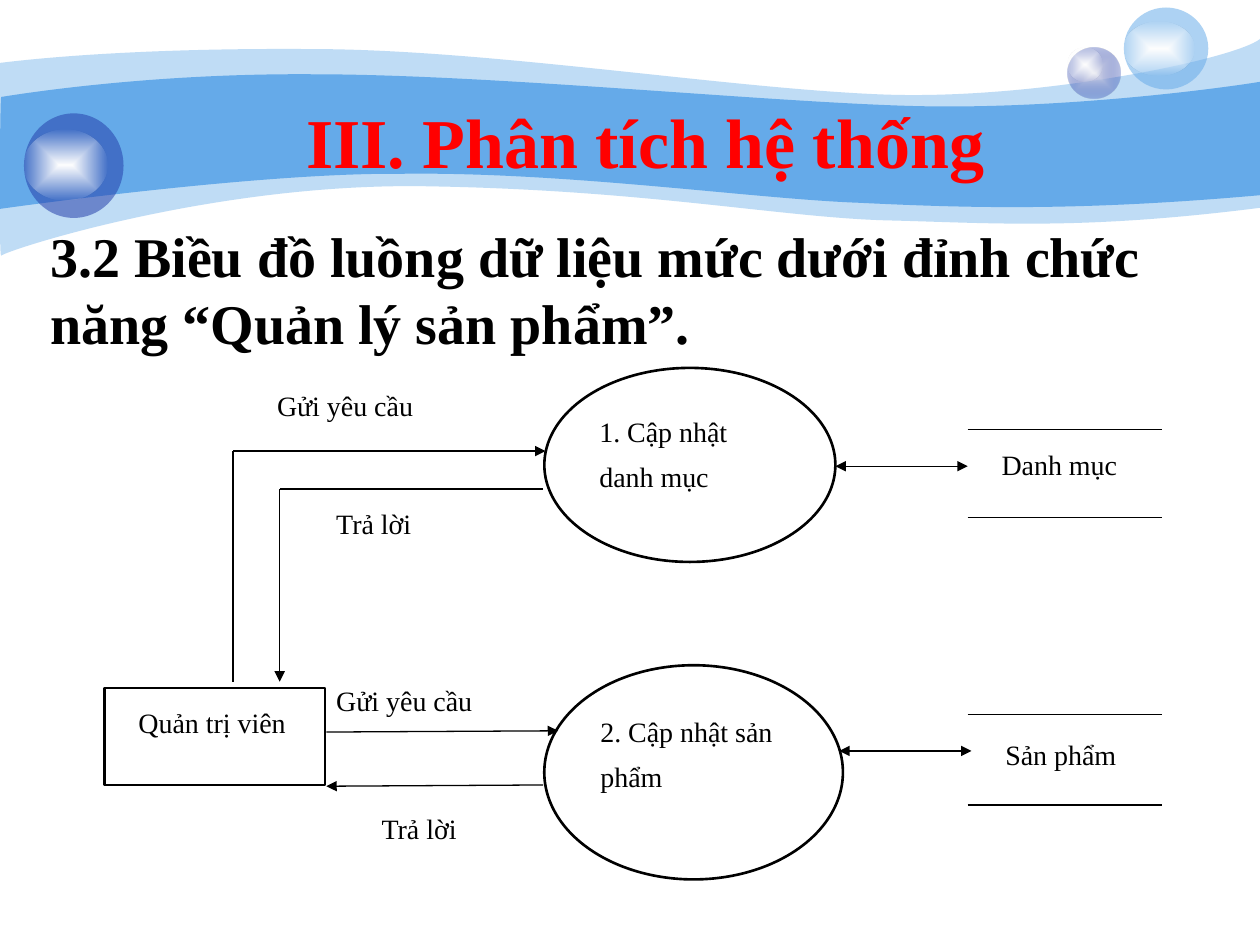
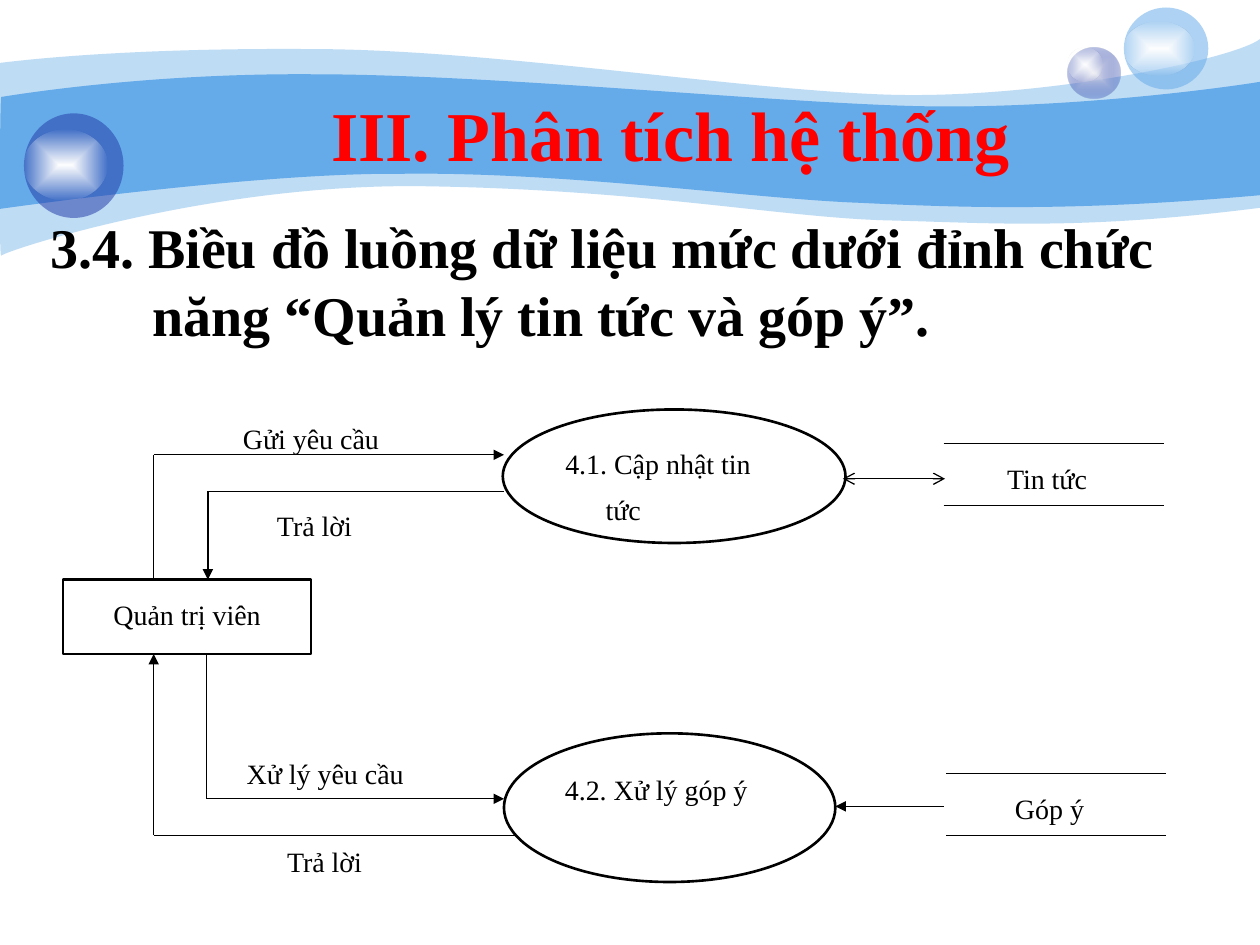
from dataclasses import dataclass
from itertools import pairwise

from lxml import etree
from pptx import Presentation
from pptx import util as u
from pptx.dml.color import RGBColor
from pptx.enum import shapes, text
from pptx.oxml import ns

FONT = "Times New Roman"
TITLE = "III. Phân tích hệ thống"
COLORS = {
    "black": "000000", "white": "FFFFFF", "title": "FF0000",
    "sky": "65AAE9", "navy": "233DA9", "mist": "E1E2ED",
}
RECT = shapes.MSO_SHAPE.RECTANGLE
OVAL = shapes.MSO_SHAPE.OVAL
CENTER = text.PP_ALIGN.CENTER

Point = tuple[float, float]
Area = tuple[float, float, float, float]  # left, top, width, height


@dataclass(frozen=True)
class Band:
    start: Point
    segments: list[tuple[float, ...]]  # 2 numbers: straight edge, 6: curve
    alpha: int = 100


@dataclass(frozen=True)
class Bubble:
    area: Area
    shine: Area
    color: str
    alpha: int
    center: str = ""  # set for a gradient body


@dataclass(frozen=True)
class Node:
    label: str
    area: Area
    kind: shapes.MSO_SHAPE = RECT
    outline: str = "white"
    centered: bool = False
    indent: float = 0
    hanging: float = 0
    number: int = 0


@dataclass(frozen=True)
class Store:
    node: Node
    left: float
    top: float
    bottom: float
    width: float


@dataclass(frozen=True)
class Flow:
    points: list[Point]
    head: str = ""
    tail: str = "triangle"


@dataclass(frozen=True)
class Diagram:
    title_at: Point
    heading: str
    heading_top: float
    indent: float
    hanging: float
    nodes: list[Node]
    stores: list[Store]
    flows: list[Flow]


BANDS = [
    Band((0, 0.5), [
        (0.24, 0.47, 1.07, 0.38, 2.47, 0.39), (3.86, 0.39, 5.75, 0.7, 6.99, 0.75),
        (8.22, 0.8, 9.8, 0.47, 10, 0.31), (10, 1.65),
        (8.58, 1.83, 7.87, 1.77, 7.05, 1.75), (6.22, 1.73, 5.15, 1.51, 3.43, 1.48),
        (1.72, 1.44, 0.04, 1.99, 0.01, 2.03), (-0.01, 2.08, 0, 0.75, 0, 0.5),
    ], 41),
    Band((0.01, 0.77), [
        (0.02, 0.77, 1.1, 0.58, 2.48, 0.59), (3.86, 0.59, 5.95, 0.8, 7.18, 0.84),
        (8.41, 0.88, 9.76, 0.69, 10, 0.65), (10, 1.55),
        (8.53, 1.68, 7.65, 1.65, 6.82, 1.61), (5.99, 1.58, 4.47, 1.36, 3.17, 1.38),
        (2.03, 1.37, -0.02, 1.66, -0.01, 1.66), (0, 1.66, 0, 0.77, 0.01, 0.77),
    ]),
]
BUBBLES = [
    Bubble((8.47, 0.38, 0.42, 0.4), (8.47, 0.38, 0.28, 0.27), "navy", 31, "mist"),
    Bubble((8.92, 0.06, 0.67, 0.65), (8.92, 0.17, 0.56, 0.43), "sky", 53),
    Bubble((0.19, 0.9, 0.79, 0.83), (0.19, 1.03, 0.66, 0.56), "navy", 53),
]

DIAGRAMS = [
    Diagram(
        (0.12, 0.73),
        "3.2 Biều đồ luồng dữ liệu mức dưới đỉnh chức năng “Quản lý sản phẩm”.",
        1.71, 0.5, 0,
        nodes=[
            Node("Gửi yêu cầu", (2.57, 5.28, 1.48, 0.74)),
            Node("Trả lời", (2.57, 3.88, 1.12, 0.6)),
            Node("Quản trị viên", (0.83, 5.46, 1.75, 0.77), outline="black", indent=0.17),
            Node("Gửi yêu cầu", (2.1, 2.94, 1.55, 0.73)),
            Node("Trả lời", (2.93, 6.3, 1.12, 0.55)),
            Node(" Cập nhật danh mục", (4.32, 2.92, 2.31, 1.54), OVAL, "black", number=1),
            Node(" Cập nhật sản phẩm", (4.32, 5.28, 2.37, 1.7), OVAL, "black", number=2),
        ],
        stores=[
            Store(Node("Danh mục", (7.68, 3.41, 1.55, 0.68), indent=0.17),
                  7.68, 3.41, 4.11, 1.54),
            Store(Node("Sản phẩm", (7.71, 5.71, 1.55, 0.68), indent=0.17),
                  7.68, 5.67, 6.39, 1.54),
        ],
        flows=[
            Flow([(1.85, 5.41), (1.85, 3.58), (4.33, 3.58)]),
            Flow([(4.31, 3.88), (2.22, 3.88), (2.22, 5.41)]),
            Flow([(2.59, 5.81), (4.43, 5.8)]),
            Flow([(4.31, 6.23), (2.59, 6.24)]),
            Flow([(7.68, 3.7), (6.63, 3.7)], head="triangle"),
            Flow([(7.71, 5.96), (6.66, 5.96)], head="triangle"),
        ],
    ),
    Diagram(
        (0.32, 0.68),
        "3.4. Biều đồ luồng dữ liệu mức dưới đỉnh chức năng “Quản lý tin tức và góp ý”.",
        1.64, 1.31, -0.81,
        nodes=[
            Node("Trả lời", (2.18, 6.56, 1.13, 0.39)),
            Node("Trả lời", (2.1, 3.89, 1.26, 0.42)),
            Node("Gửi yêu cầu", (1.83, 3.2, 1.8, 0.4)),
            Node("4.1. Cập nhật tin tức", (3.99, 3.25, 2.72, 1.06), OVAL, "black",
                 indent=0.32, hanging=-0.32),
            Node("4.2. Xử lý góp ý", (4, 5.82, 2.63, 1.18), OVAL, "black",
                 indent=0.3, hanging=-0.3),
            Node("Xử lý yêu cầu", (1.86, 5.86, 1.91, 0.44)),
            Node("Quản trị viên", (0.5, 4.6, 1.97, 0.59), outline="black", centered=True),
        ],
        stores=[
            Store(Node("Tin tức", (7.44, 3.52, 1.74, 0.49), centered=True),
                  7.49, 3.52, 4.01, 1.75),
            Store(Node("Góp ý", (7.46, 6.14, 1.74, 0.49), centered=True),
                  7.51, 6.14, 6.63, 1.74),
        ],
        flows=[
            Flow([(1.22, 4.6), (1.22, 3.61), (4, 3.61)]),
            Flow([(4, 3.9), (1.65, 3.9), (1.65, 4.6)]),
            Flow([(1.64, 5.19), (1.64, 6.34), (4, 6.34)]),
            Flow([(4.1, 6.63), (1.22, 6.63), (1.22, 5.19)]),
            Flow([(7.49, 6.4), (6.63, 6.4)]),
            Flow([(6.69, 3.8), (7.5, 3.8)], head="arrow", tail="arrow"),
        ],
    ),
]


# Helpers
def inch(value: float) -> u.Cm:
    return u.Cm(value * 2.54)


def rgb(name: str) -> RGBColor:
    return RGBColor.from_string(COLORS[name])


def sub(parent, tag: str, **attrs):
    return etree.SubElement(parent, ns.qn(tag), {k: str(v) for k, v in attrs.items()})


def fill_solid(sp, color: str, alpha: int = 100) -> None:
    sp.fill.solid()
    sp.fill.fore_color.rgb = rgb(color)
    if alpha < 100:
        clr = sp.fill._xPr.find(ns.qn("a:solidFill"))[0]
        sub(clr, "a:alpha", val=alpha * 1000)


def fill_radial(sp, center: str, edge: str, edge_alpha: int) -> None:
    sp.fill.gradient()
    grad = sp.fill._xPr.find(ns.qn("a:gradFill"))
    for child in list(grad):
        grad.remove(child)
    stops = sub(grad, "a:gsLst")
    for pos, color, alpha in ((0, center, 100), (100, edge, edge_alpha)):
        clr = sub(sub(stops, "a:gs", pos=pos * 1000), "a:srgbClr", val=COLORS[color])
        if alpha < 100:
            sub(clr, "a:alpha", val=alpha * 1000)
    shade = sub(grad, "a:path", path="shape")
    sub(shade, "a:fillToRect", l=50000, t=50000, r=50000, b=50000)


def add_shape(slide, kind: shapes.MSO_SHAPE, area: Area):
    sp = slide.shapes.add_shape(kind, *map(inch, area))
    sp.shadow.inherit = False
    sp.line.fill.background()
    return sp


def add_run(p, label: str, size: int, color: str, bold: bool = False) -> None:
    r = p.add_run()
    r.text = label
    r.font.name, r.font.size, r.font.bold = FONT, u.Pt(size), bold
    r.font.color.rgb = rgb(color)


def set_indent(p, left: float, first: float):
    pr = p._p.get_or_add_pPr()
    pr.set("marL", str(inch(left)))
    pr.set("indent", str(inch(first)))
    return pr


# Shared backdrop
def draw_band(slide, band: Band) -> None:
    points = [(inch(x), inch(y)) for seg in band.segments
              for x, y in zip(seg[::2], seg[1::2])]
    builder = slide.shapes.build_freeform(*map(inch, band.start))
    builder.add_line_segments(points, close=True)
    sp = builder.convert_to_shape()
    sp.shadow.inherit = False
    sp.line.fill.background()
    fill_solid(sp, "sky", band.alpha)
    # Join each run of three points into one Bézier curve
    steps = iter(list(sp._element.iter(ns.qn("a:lnTo"))))
    for seg in band.segments:
        first, *others = [next(steps) for _ in range(len(seg) // 2)]
        if others:
            first.tag = ns.qn("a:cubicBezTo")
        for step in others:
            first.append(step[0])
            step.getparent().remove(step)


def draw_bubble(slide, bubble: Bubble) -> None:
    sp = add_shape(slide, OVAL, bubble.area)
    if bubble.center:
        fill_radial(sp, bubble.center, bubble.color, bubble.alpha)
    else:
        fill_solid(sp, bubble.color, bubble.alpha)
    fill_radial(add_shape(slide, OVAL, bubble.shine), "white", "white", 0)


def add_textbox(slide, area: Area, label: str, size: int, color: str):
    tf = slide.shapes.add_textbox(*map(inch, area)).text_frame
    tf.word_wrap = True
    p = tf.paragraphs[0]
    add_run(p, label, size, color, bold=True)
    return p


# Diagram parts
def draw_node(slide, node: Node) -> None:
    sp = add_shape(slide, node.kind, node.area)
    if node.kind == RECT:
        fill_solid(sp, "white")
    else:
        sp.fill.background()
    sp.line.color.rgb = rgb(node.outline)
    sp.line.width = u.Pt(1.5 if node.outline == "black" else 0.75)
    tf = sp.text_frame
    tf.word_wrap = True
    tf.vertical_anchor = text.MSO_ANCHOR.TOP
    p = tf.paragraphs[0]
    p.alignment = CENTER if node.centered else text.PP_ALIGN.LEFT
    p.line_spacing, p.space_before = 1.35, u.Pt(3)
    pr = set_indent(p, node.indent, node.hanging)
    if node.number:
        sub(pr, "a:buFont", typeface=FONT)
        sub(pr, "a:buAutoNum", type="arabicPeriod", startAt=node.number)
    add_run(p, node.label, 16, "black")


def draw_line(slide, start: Point, end: Point, head: str = "", tail: str = "") -> None:
    line = slide.shapes.add_connector(
        shapes.MSO_CONNECTOR.STRAIGHT, *map(inch, (*start, *end)))
    line.line.color.rgb = rgb("black")
    line.line.width = u.Pt(0.75)
    ln = line.line._get_or_add_ln()
    for tag, arrow in (("a:headEnd", head), ("a:tailEnd", tail)):
        if arrow:
            sub(ln, tag, type=arrow)
    sub(line._element.spPr, "a:effectLst")


def draw_store(slide, store: Store) -> None:
    draw_node(slide, store.node)
    for y in (store.top, store.bottom):
        draw_line(slide, (store.left, y), (store.left + store.width, y))


def draw_flow(slide, flow: Flow) -> None:
    legs = list(pairwise(flow.points))
    for i, (start, end) in enumerate(legs):
        draw_line(slide, start, end, flow.head if i == 0 else "",
                  flow.tail if i == len(legs) - 1 else "")


def draw_slide(prs, diagram: Diagram) -> None:
    slide = prs.slides.add_slide(prs.slide_layouts[6])
    for band in BANDS:
        draw_band(slide, band)
    for bubble in BUBBLES:
        draw_bubble(slide, bubble)
    p = add_textbox(slide, (-0.2, diagram.heading_top, 9.92, 1.18),
                    diagram.heading, 32, "black")
    set_indent(p, diagram.indent, diagram.hanging)
    for node in diagram.nodes:
        draw_node(slide, node)
    for store in diagram.stores:
        draw_store(slide, store)
    for flow in diagram.flows:
        draw_flow(slide, flow)
    p = add_textbox(slide, (*diagram.title_at, 10, 0.77), TITLE, 40, "title")
    p.alignment = CENTER


def main() -> None:
    prs = Presentation()
    prs.slide_width, prs.slide_height = u.Cm(25.4), u.Cm(19.05)
    for diagram in DIAGRAMS:
        draw_slide(prs, diagram)
    prs.save("out.pptx")


if __name__ == "__main__":
    main()
